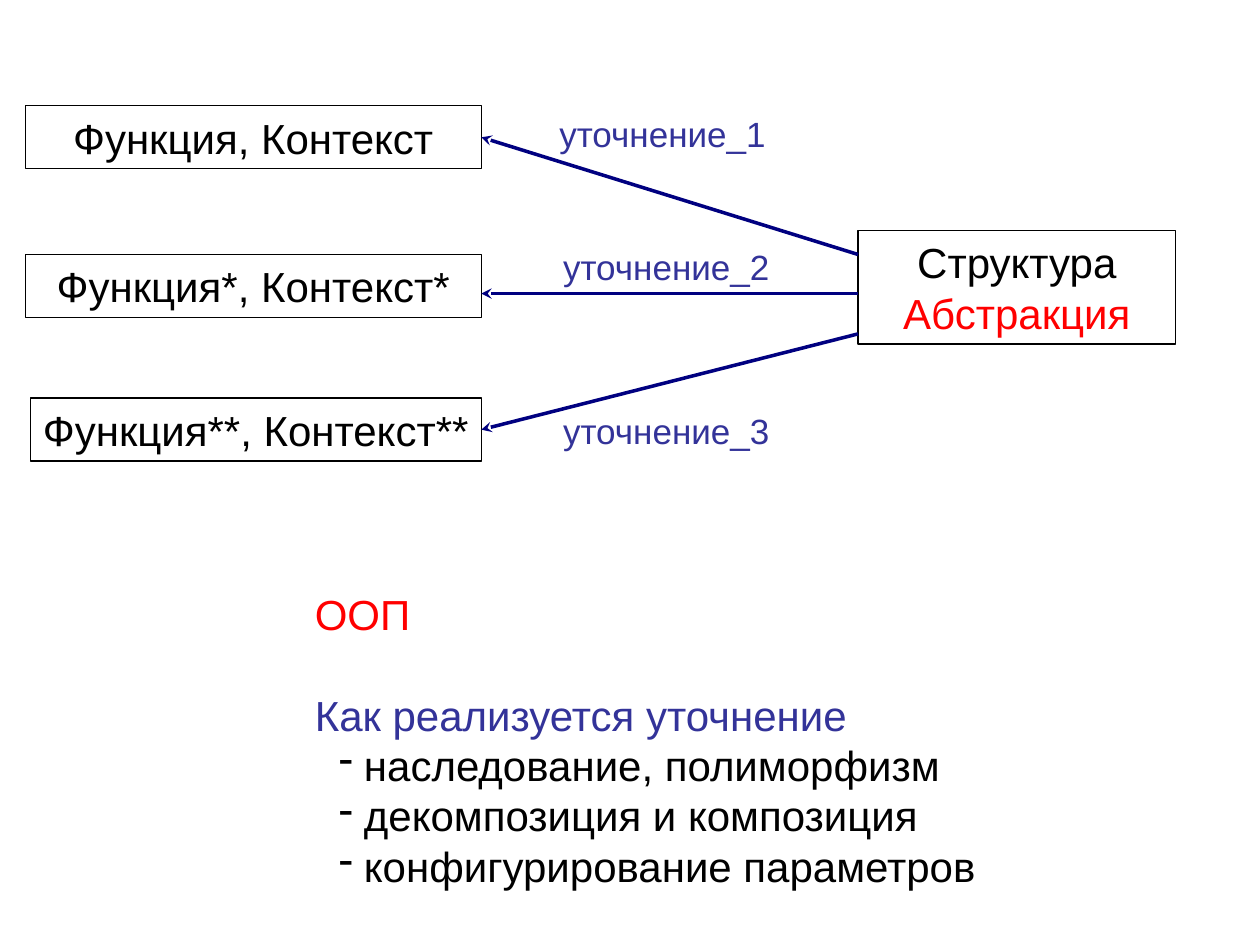
from lxml import etree
from pptx import Presentation
from pptx import util as u
from pptx.dml.color import RGBColor
from pptx.enum import shapes, text
from pptx.oxml.ns import qn

BLACK = RGBColor(0x00, 0x00, 0x00)
RED = RGBColor(0xFF, 0x00, 0x00)
BLUE = RGBColor(0x33, 0x33, 0x99)
NAVY = RGBColor(0x00, 0x00, 0x80)


class Board:
    def __init__(self, slide, font="Arial", size=24):
        self.slide = slide
        self.font = font
        self.size = size

    def letter(self, shape, lines, size=None, align=text.PP_ALIGN.LEFT):
        size = size or self.size
        frame = shape.text_frame
        frame.word_wrap = False
        frame.vertical_anchor = text.MSO_ANCHOR.TOP
        paras = []
        for num, (words, color) in enumerate(lines):
            para = frame.add_paragraph() if num else frame.paragraphs[0]
            para.alignment = align
            para.line_spacing = u.Pt(size * 1.2)
            run = para.add_run()
            run.text = words
            run.font.name = self.font
            run.font.size = u.Pt(size)
            run.font.color.rgb = color
            paras.append(para)
        return paras

    def box(self, left, top, width, height, lines):
        rect = self.slide.shapes.add_shape(
            shapes.MSO_SHAPE.RECTANGLE,
            u.Inches(left), u.Inches(top), u.Inches(width), u.Inches(height))
        rect.shadow.inherit = False
        rect.fill.background()
        rect.line.color.rgb = BLACK
        rect.line.width = u.Pt(0.75)
        self.letter(rect, lines, align=text.PP_ALIGN.CENTER)
        return rect

    def label(self, left, top, width, height, lines, size=None):
        area = self.slide.shapes.add_textbox(
            u.Inches(left), u.Inches(top), u.Inches(width), u.Inches(height))
        return self.letter(area, lines, size)

    def arrow(self, start, end, goal=None):
        line = self.slide.shapes.add_connector(
            shapes.MSO_CONNECTOR.STRAIGHT,
            *(u.Inches(pos) for pos in (*start, *end)))
        line.line.color.rgb = NAVY
        line.line.width = u.Pt(2)
        if goal is not None:
            line.end_connect(goal, 3)
        props = line._element.spPr
        tip = etree.SubElement(props.get_or_add_ln(), qn("a:tailEnd"))
        tip.set("type", "stealth")
        etree.SubElement(props, qn("a:effectLst"))

    def bullet(self, para, mark="-"):
        props = para._p.get_or_add_pPr()
        props.set("marL", str(u.Inches(0.39)))
        props.set("indent", str(-u.Inches(0.2)))
        etree.SubElement(props, qn("a:buChar")).set("char", mark)


def main():
    deck = Presentation()
    deck.slide_width = u.Inches(10)
    deck.slide_height = u.Inches(7.5)
    board = Board(deck.slides.add_slide(deck.slide_layouts[6]))

    cases = [
        (0.2, 0.84, 3.62, "Функция, Контекст"),
        (0.2, 2.02, 3.62, "Функция*, Контекст*"),
        (0.24, 3.16, 3.58, "Функция**, Контекст**"),
    ]
    boxes = [board.box(left, top, width, 0.5, [(words, BLACK)])
             for left, top, width, words in cases]
    board.box(6.81, 1.83, 2.52, 0.9,
              [("Структура", BLACK), ("Абстракция", RED)])

    for start, end, goal in [(2.02, 1.09, boxes[0]), (2.33, 2.33, None),
                             (2.65, 3.41, boxes[2])]:
        board.arrow((6.81, start), (3.82, end), goal)

    spots = [(4.34, 0.84), (4.37, 1.9), (4.37, 3.2)]
    for num, (left, top) in enumerate(spots, 1):
        board.label(left, top, 1.85, 0.44, [(f"уточнение_{num}", BLUE)], 20)

    title, topic, *items = board.label(2.4, 4.62, 5.55, 2.5, [
        ("ООП", RED),
        ("Как реализуется уточнение", BLUE),
        ("наследование, полиморфизм", BLACK),
        ("декомпозиция и композиция", BLACK),
        ("конфигурирование параметров", BLACK),
    ])
    topic.space_before = u.Pt(28.8)
    for item in items:
        board.bullet(item)

    deck.save("out.pptx")


if __name__ == "__main__":
    main()
